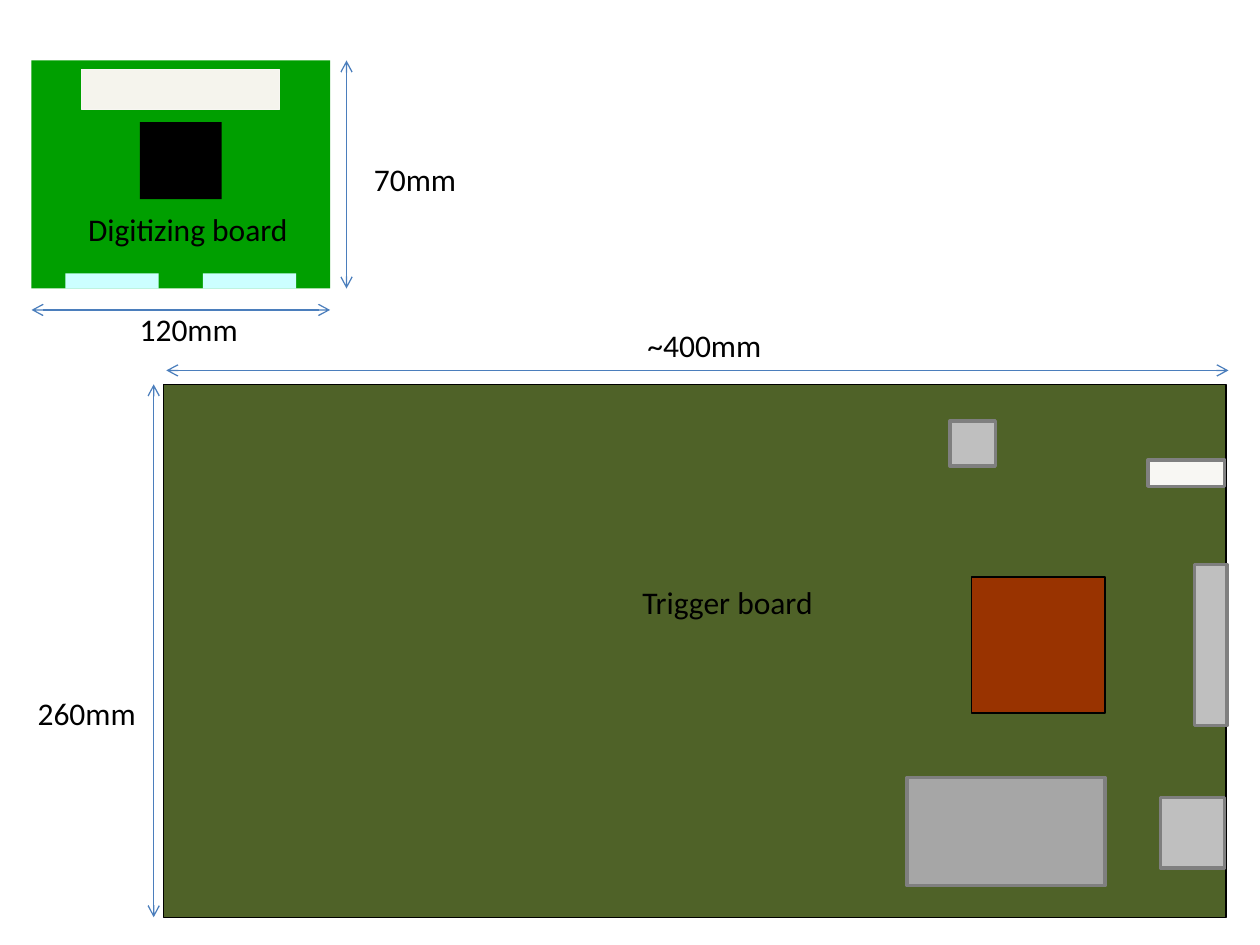
from lxml import etree
from pptx import Presentation
from pptx.dml.color import RGBColor
from pptx.enum.shapes import MSO_CONNECTOR, MSO_SHAPE
from pptx.enum.text import MSO_AUTO_SIZE
from pptx.oxml.ns import qn
from pptx.util import Inches, Pt

RECTANGLE = MSO_SHAPE.RECTANGLE
STRAIGHT = MSO_CONNECTOR.STRAIGHT
FIT_TEXT = MSO_AUTO_SIZE.SHAPE_TO_FIT_TEXT

COLUMNS, ROWS = 1000, 750
BLACK, GREY, LIGHT_GREY = "000000", "7F7F7F", "BFBFBF"
ARROW_COLOR = "4B7EBC"
LABEL_HEIGHT = 40

DIGITIZING_BOARD = (25, 48, 237, 181)
TRIGGER_BOARD = (130, 305, 843, 423)

DIGITIZING_PARTS = [
    (DIGITIZING_BOARD, "009F00", None, 0),
    ((65, 55, 157, 32), "F5F4ED", "F8F7F3", 0.75),
    ((111, 97, 65, 61), BLACK, None, 0),
    ((52, 217, 74, 12), "CCFFFF", None, 0),
    ((161, 217, 74, 12), "CCFFFF", None, 0),
]
TRIGGER_PARTS = [
    (TRIGGER_BOARD, "4F6228", BLACK, 0.75),
    ((771, 458, 106, 108), "993300", BLACK, 0.75),
    ((754, 334, 36, 36), LIGHT_GREY, GREY, 2),
    ((948, 448, 26, 128), LIGHT_GREY, GREY, 2),
    ((921, 633, 51, 56), LIGHT_GREY, GREY, 2),
    ((911, 365, 61, 21), "F8F7F3", "808080", 2),
    ((720, 617, 157, 86), "A6A6A6", GREY, 2),
]
LABELS = [
    ("70mm", 287, 122, 86),
    ("120mm", 101, 241, 99),
    ("~400mm", 504, 254, 112),
    ("260mm", 20, 546, 99),
    ("Trigger board", 500, 458, 157),
    ("Digitizing board", 60, 162, 181),
]

prs = Presentation()
prs.slide_width, prs.slide_height = Inches(10), Inches(7.5)
slide = prs.slides.add_slide(prs.slide_layouts[6])


def color(hex_code):
    return RGBColor.from_string(hex_code)


def across(column):
    return round(prs.slide_width * column / COLUMNS)


def down(row):
    return round(prs.slide_height * row / ROWS)


def place(left, top, width, height):
    return across(left), down(top), across(width), down(height)


def add_part(box, fill, outline, outline_width):
    part = slide.shapes.add_shape(RECTANGLE, *place(*box))
    part.shadow.inherit = False
    part.fill.solid()
    part.fill.fore_color.rgb = color(fill)
    if outline:
        part.line.color.rgb = color(outline)
        part.line.width = Pt(outline_width)
    else:
        part.line.fill.background()


def add_dimension(x1, y1, x2, y2):
    arrow = slide.shapes.add_connector(
        STRAIGHT, across(x1), down(y1), across(x2), down(y2))
    arrow.line.color.rgb = color(ARROW_COLOR)
    arrow.line.width = Pt(0.75)
    for end in ("a:headEnd", "a:tailEnd"):
        etree.SubElement(arrow.line._get_or_add_ln(), qn(end), type="arrow")
    etree.SubElement(arrow._element.spPr, qn("a:effectLst"))


def add_label(text, box, size=18, font="Calibri", text_color=BLACK):
    frame = slide.shapes.add_textbox(*place(*box)).text_frame
    frame.word_wrap = False
    frame.auto_size = FIT_TEXT
    run = frame.paragraphs[0].add_run()
    run.text = text
    run.font.size = Pt(size)
    run.font.name = font
    run.font.color.rgb = color(text_color)


def add_board(parts, width_row, height_column, shift=0):
    for part in parts:
        add_part(*part)
    left, top, width, height = parts[0][0]
    add_dimension(left + shift, width_row, left + width + shift, width_row)
    add_dimension(height_column, top, height_column, top + height)


add_board(DIGITIZING_PARTS, width_row=246, height_column=275)
add_board(TRIGGER_PARTS, width_row=294, height_column=122, shift=2)
for text, left, top, width in LABELS:
    add_label(text, (left, top, width, LABEL_HEIGHT))

prs.save("out.pptx")
